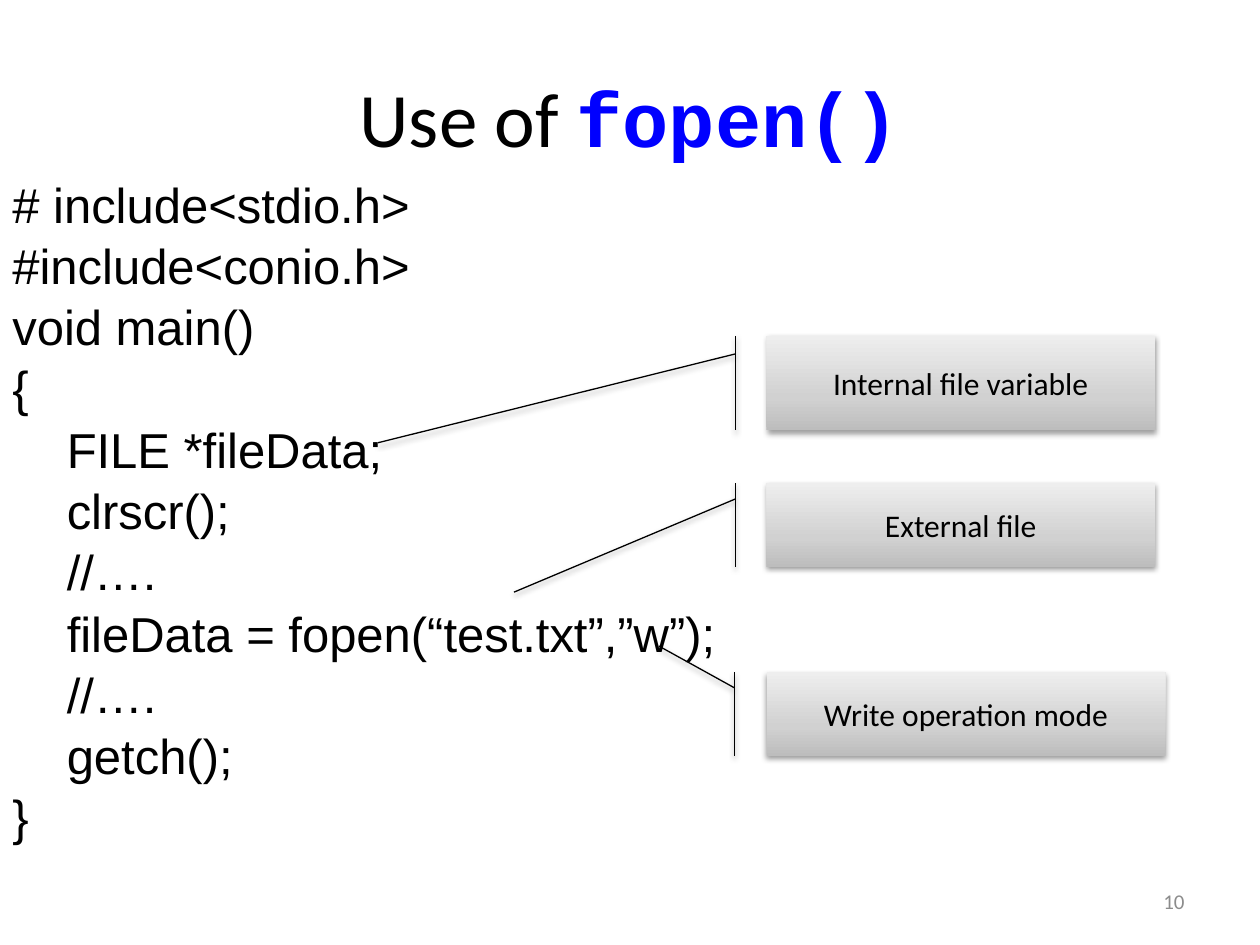
from lxml import etree
from pptx import Presentation
from pptx.dml.color import RGBColor
from pptx.enum.shapes import MSO_SHAPE
from pptx.enum.text import MSO_ANCHOR, PP_ALIGN
from pptx.oxml import parse_xml
from pptx.oxml.ns import nsdecls, qn
from pptx.util import Pt

BLACK = "000000"
CODE_INDENT = 31.1
CODE_LINES = [
    (0, "# include<stdio.h>"),
    (0, "#include<conio.h>"),
    (0, "void main()"),
    (0, "{"),
    (1, "FILE *fileData;"),
    (1, "clrscr();"),
    (1, "//…."),
    (1, "fileData = fopen(“test.txt”,”w”);"),
    (1, "//…."),
    (1, "getch();"),
    (0, "}"),
]
# label, top, width, height, pointer end (y, x) as fractions of the box
CALLOUTS = [
    ("Internal file variable", 192, 222, 54, (1.13, -1)),
    ("External file", 276, 222, 48, (1.3, -0.65)),
    ("Write operation mode", 384, 228, 48, (-0.31, -0.27)),
]
CALLOUT_LEFT = 438
POINTER_START = (0.19, -0.08)
GRADIENT = [(0, "BDBDBD"), (35, "D1D1D1"), (100, "EEEEEE")]


def color(hex_value):
    return RGBColor.from_string(hex_value)


def set_font(font, name, size, hex_value, bold=False):
    font.name = name
    font.size = Pt(size)
    font.color.rgb = color(hex_value)
    font.bold = bold


def add_text_frame(slide, left, top, width, height, anchor=MSO_ANCHOR.MIDDLE):
    box = slide.shapes.add_textbox(Pt(left), Pt(top), Pt(width), Pt(height))
    frame = box.text_frame
    frame.word_wrap = True
    frame.vertical_anchor = anchor
    return frame


def add_title(slide):
    heading = add_text_frame(slide, 36, 21.6, 648, 90).paragraphs[0]
    heading.alignment = PP_ALIGN.CENTER
    for text, font_name, hex_value, bold in [
        ("Use of ", "Calibri", BLACK, False),
        ("fopen()", "Courier New", "0000FF", True),
    ]:
        run = heading.add_run()
        run.text = text
        set_font(run.font, font_name, 44, hex_value, bold)


def add_code(slide):
    frame = add_text_frame(slide, 0, 96, 720, 380, MSO_ANCHOR.TOP)
    for index, (level, text) in enumerate(CODE_LINES):
        line = frame.add_paragraph() if index else frame.paragraphs[0]
        line.text = text
        line.space_before = Pt(1.4)
        set_font(line.font, "Arial", 28, BLACK)
        if level:
            line._p.get_or_add_pPr().set("marL", str(Pt(level * CODE_INDENT)))


def set_gradient(shape):
    """Fill from the first stop at the bottom to the last at the top."""
    shape.fill.gradient()
    shape.fill.gradient_angle = 90
    stops = shape._element.spPr.find(qn("a:gradFill")).find(qn("a:gsLst"))
    for stop in list(stops):
        stops.remove(stop)
    for percent, hex_value in GRADIENT:
        stop = etree.SubElement(stops, qn("a:gs"), pos=str(percent * 1000))
        etree.SubElement(stop, qn("a:srgbClr"), val=hex_value)


def set_shadow(shape):
    shape.shadow.inherit = False
    shape._element.spPr.find(qn("a:effectLst")).append(parse_xml(
        f'<a:outerShdw {nsdecls("a")} blurRad="{Pt(3.1)}" dist="{Pt(1.6)}" '
        'dir="5400000" rotWithShape="0">'
        f'<a:srgbClr val="{BLACK}"><a:alpha val="38000"/></a:srgbClr>'
        '</a:outerShdw>'))


def add_callout(slide, label, top, width, height, pointer_end):
    callout = slide.shapes.add_shape(
        MSO_SHAPE.LINE_CALLOUT_1_ACCENT_BAR,
        Pt(CALLOUT_LEFT), Pt(top), Pt(width), Pt(height))
    for index, value in enumerate(POINTER_START + pointer_end):
        callout.adjustments[index] = value
    set_gradient(callout)
    callout.line.color.rgb = color(BLACK)
    callout.line.width = Pt(0.75)
    set_shadow(callout)
    callout.text_frame.vertical_anchor = MSO_ANCHOR.MIDDLE
    caption = callout.text_frame.paragraphs[0]
    caption.text = label
    caption.alignment = PP_ALIGN.CENTER
    set_font(caption.font, "Calibri", 18, BLACK)


def add_slide_number(slide):
    number = add_text_frame(slide, 516, 500.4, 168, 28.8).paragraphs[0]
    number.text = "10"
    number.alignment = PP_ALIGN.RIGHT
    set_font(number.font, "Calibri", 12, "8C8C8C")


def main():
    presentation = Presentation()
    presentation.slide_width = Pt(720)
    presentation.slide_height = Pt(540)
    slide = presentation.slides.add_slide(presentation.slide_layouts[6])
    add_title(slide)
    add_code(slide)
    for callout in CALLOUTS:
        add_callout(slide, *callout)
    add_slide_number(slide)
    presentation.save("out.pptx")


if __name__ == "__main__":
    main()
